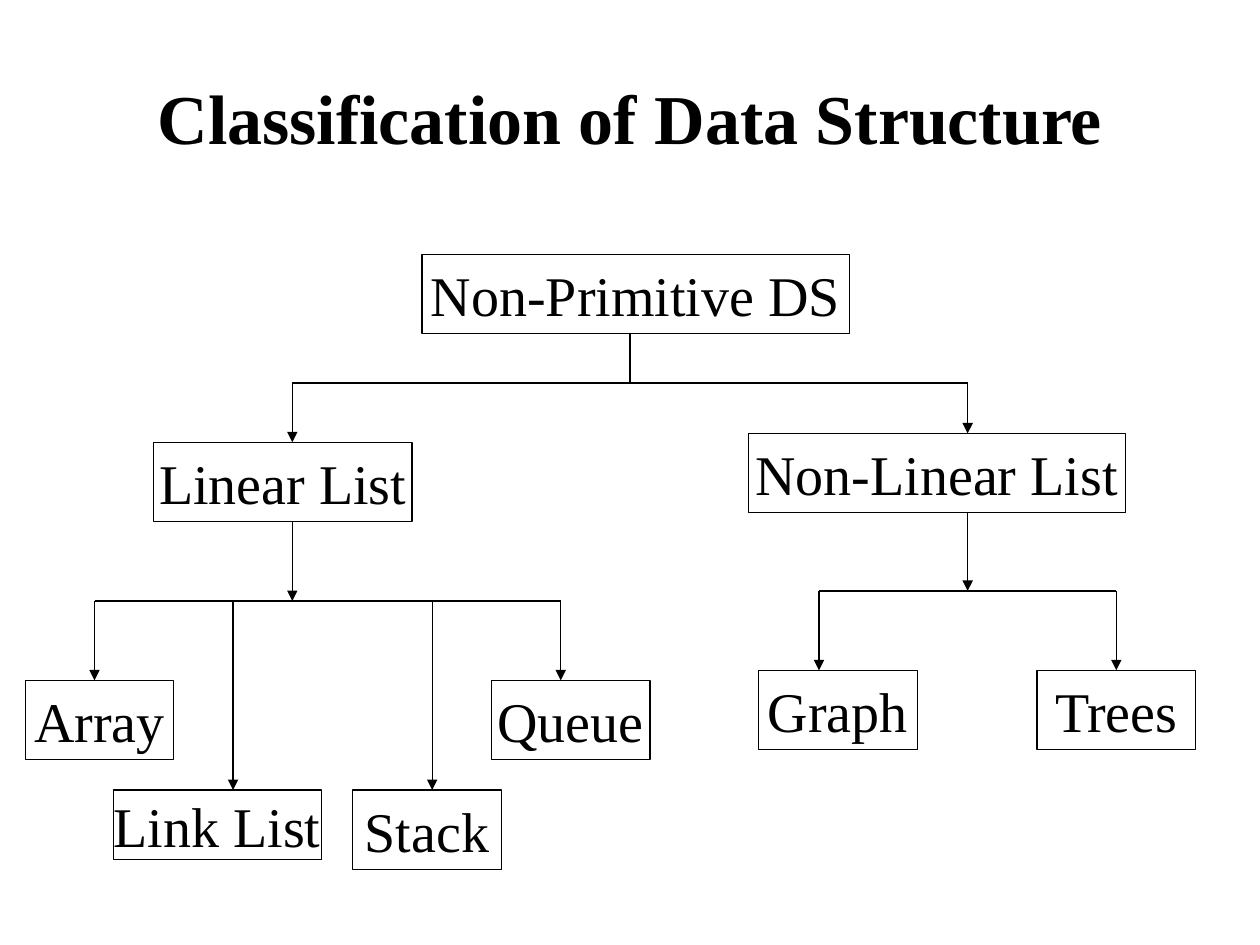
from dataclasses import dataclass

from lxml.etree import SubElement
from pptx import Presentation
from pptx.dml.color import RGBColor
from pptx.enum.shapes import MSO_CONNECTOR, MSO_SHAPE
from pptx.enum.text import MSO_ANCHOR, PP_ALIGN
from pptx.oxml.ns import qn
from pptx.util import Inches, Pt

FONT = "Times New Roman"
BLACK = "000000"
WHITE = "FFFFFF"


@dataclass
class Node:
    """A labelled box of the tree."""
    label: str
    left: float
    top: float
    width: float
    height: float = 0.63


@dataclass
class Branch:
    """A stem, a level bar and the arrows that drop from it."""
    stem: float
    top: float
    bar: float
    tips: list[tuple[float, float]]
    arrow: bool = True


NODES = [
    Node("Non-Primitive DS", 3.35, 2.02, 3.39),
    Node("Linear List", 1.22, 3.51, 2.05),
    Node("Non-Linear List", 5.94, 3.44, 2.99),
    Node("Array", 0.2, 5.4, 1.18),
    Node("Link List", 0.9, 6.27, 1.65, 0.55),
    Node("Stack", 2.8, 6.27, 1.18),
    Node("Queue", 3.9, 5.4, 1.26),
    Node("Graph", 6.02, 5.32, 1.26),
    Node("Trees", 8.23, 5.32, 1.26),
]

BRANCHES = [
    Branch(5, 2.65, 3.04, [(2.32, 3.51), (7.68, 3.44)], False),
    Branch(2.32, 4.14, 4.77,
           [(0.75, 5.4), (1.85, 6.27), (3.43, 6.27), (4.45, 5.4)]),
    Branch(7.68, 4.06, 4.69, [(6.5, 5.32), (8.86, 5.32)]),
]


def tint(code: str) -> RGBColor:
    """Turn a hex string into a colour."""
    return RGBColor.from_string(code)


def style(frame, text: str, size: int, bold: bool = False) -> None:
    """Set centred text in a frame and format it."""
    frame.text = text
    frame.vertical_anchor = MSO_ANCHOR.MIDDLE
    line = frame.paragraphs[0]
    line.alignment = PP_ALIGN.CENTER
    font = line.runs[0].font
    font.name = FONT
    font.size = Pt(size)
    font.bold = bold
    font.color.rgb = tint(BLACK)


def box(slide, node: Node) -> None:
    """Draw one node."""
    shape = slide.shapes.add_shape(
        MSO_SHAPE.RECTANGLE, Inches(node.left), Inches(node.top),
        Inches(node.width), Inches(node.height))
    shape.shadow.inherit = False
    shape.fill.solid()
    shape.fill.fore_color.rgb = tint(WHITE)
    shape.line.color.rgb = tint(BLACK)
    shape.line.width = Pt(0.75)
    shape.text_frame.word_wrap = False
    style(shape.text_frame, node.label, 32)


def link(slide, start: tuple[float, float], end: tuple[float, float],
         arrow: bool = False) -> None:
    """Draw a straight line, with an arrowhead at its end if asked."""
    wire = slide.shapes.add_connector(
        MSO_CONNECTOR.STRAIGHT, *map(Inches, start + end))
    wire.line.color.rgb = tint(BLACK)
    wire.line.width = Pt(0.75)
    if arrow:
        SubElement(wire.line._get_or_add_ln(), qn("a:tailEnd"),
                   type="triangle")
    SubElement(wire._element.spPr, qn("a:effectLst"))


def fork(slide, part: Branch) -> None:
    """Draw one branch."""
    link(slide, (part.stem, part.top), (part.stem, part.bar), part.arrow)
    link(slide, (part.tips[0][0], part.bar), (part.tips[-1][0], part.bar))
    for tip in part.tips:
        link(slide, (tip[0], part.bar), tip, True)


def main() -> None:
    """Build and save the slide."""
    deck = Presentation()
    deck.slide_width, deck.slide_height = Inches(10), Inches(7.5)
    slide = deck.slides.add_slide(deck.slide_layouts[5])
    title = slide.shapes.title
    title.left, title.top = Inches(0.5), Inches(0.3)
    title.width, title.height = Inches(9), Inches(1.25)
    style(title.text_frame, "Classification of Data Structure", 40, True)
    for node in NODES:
        box(slide, node)
    for part in BRANCHES:
        fork(slide, part)
    deck.save("out.pptx")


main()
